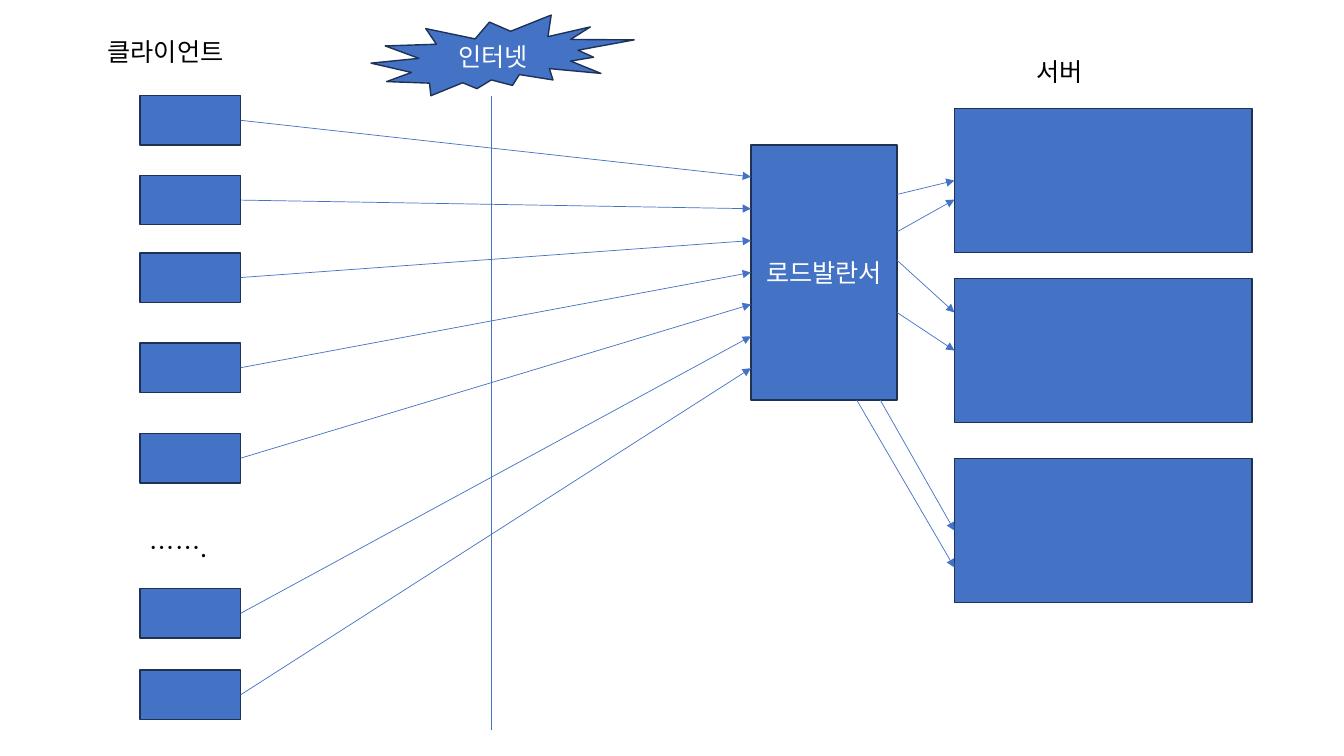
from pptx import Presentation
from pptx.dml.color import RGBColor
from pptx.enum.shapes import MSO_CONNECTOR, MSO_SHAPE
from pptx.enum.text import MSO_ANCHOR, PP_ALIGN
from pptx.oxml.ns import qn
from pptx.util import Pt
from lxml.etree import SubElement

COLORS = {"blue": "4472C4", "edge": "1E3256", "text": "000000", "light": "FFFFFF"}
FONT = "Noto Sans CJK KR"
LEFT_SIDE, RIGHT_SIDE = 1, 3

CLIENT_LEFT, CLIENT_WIDTH, CLIENT_HEIGHT = 100, 72, 35.3
CLIENT_TOPS = [68.3, 125.3, 180.6, 245, 309.6, 420.4, 478.6]

BALANCER_LEFT, BALANCER_TOP = 536.4, 103.5
BALANCER_WIDTH, BALANCER_HEIGHT = 104.4, 182.3
BALANCER_RIGHT = BALANCER_LEFT + BALANCER_WIDTH
BALANCER_BOTTOM = BALANCER_TOP + BALANCER_HEIGHT

SERVER_LEFT, SERVER_WIDTH, SERVER_HEIGHT = 681.8, 212.4, 103

# Top of each server, the start of its joined arrow, and its second arrow
SERVERS = [
    (77.5, (BALANCER_RIGHT, 138.9), ((BALANCER_RIGHT, 165.6), (SERVER_LEFT, 142.6))),
    (198.9, (BALANCER_RIGHT, 223.2), ((BALANCER_RIGHT, 185.9), (SERVER_LEFT, 223.2))),
    (327.6, (628.8, BALANCER_BOTTOM), ((612, BALANCER_BOTTOM), (SERVER_LEFT, 405.4))),
]


def rgb(name):
    return RGBColor.from_string(COLORS[name])


def format_text(frame, text, color):
    frame.text = text
    frame.word_wrap = True
    font = frame.paragraphs[0].runs[0].font
    font.size = Pt(18)
    font.name = FONT
    font.color.rgb = rgb(color)
    SubElement(font._element, qn("a:ea"), typeface=FONT)


def add_block(slide, left, top, width, height, text="", preset=MSO_SHAPE.RECTANGLE):
    block = slide.shapes.add_shape(preset, Pt(left), Pt(top), Pt(width), Pt(height))
    block.shadow.inherit = False
    block.fill.solid()
    block.fill.fore_color.rgb = rgb("blue")
    block.line.color.rgb = rgb("edge")
    block.line.width = Pt(1)
    if text:
        format_text(block.text_frame, text, "light")
        block.text_frame.vertical_anchor = MSO_ANCHOR.MIDDLE
        block.text_frame.paragraphs[0].alignment = PP_ALIGN.CENTER
    return block


def add_label(slide, left, top, width, text):
    label = slide.shapes.add_textbox(Pt(left), Pt(top), Pt(width), Pt(29))
    format_text(label.text_frame, text, "text")


def add_line(slide, start, end, arrow=True):
    line = slide.shapes.add_connector(
        MSO_CONNECTOR.STRAIGHT, *(Pt(value) for value in (*start, *end)))
    line.line.color.rgb = rgb("blue")
    line.line.width = Pt(0.5)
    if arrow:
        SubElement(line.line._get_or_add_ln(), qn("a:tailEnd"), type="triangle")
    SubElement(line._element.spPr, qn("a:effectLst"))
    return line


def main():
    prs = Presentation()
    prs.slide_width, prs.slide_height = Pt(960), Pt(540)
    slide = prs.slides.add_slide(prs.slide_layouts[6])

    # Internet boundary
    add_line(slide, (350.8, 68.4), (350.8, 521.3), arrow=False)
    add_block(slide, 265, 10.8, 188, 57.6, "인터넷", MSO_SHAPE.EXPLOSION2)

    # Load balancer
    balancer = add_block(slide, BALANCER_LEFT, BALANCER_TOP,
                         BALANCER_WIDTH, BALANCER_HEIGHT, "로드발란서")

    # Clients, with requests spread evenly along the balancer's left side
    add_label(slide, 69.8, 22.3, 174.2, "클라이언트")
    add_label(slide, 100, 376.6, 103.7, "…….")
    gap = BALANCER_HEIGHT / (len(CLIENT_TOPS) + 1)
    for index, top in enumerate(CLIENT_TOPS):
        client = add_block(slide, CLIENT_LEFT, top, CLIENT_WIDTH, CLIENT_HEIGHT)
        start = (CLIENT_LEFT + CLIENT_WIDTH, top + CLIENT_HEIGHT / 2)
        request = add_line(slide, start, (BALANCER_LEFT, BALANCER_TOP + gap * (index + 1)))
        request.begin_connect(client, RIGHT_SIDE)
        if index == len(CLIENT_TOPS) // 2:
            request.end_connect(balancer, LEFT_SIDE)

    # Servers and the forwarded requests
    add_label(slide, 733, 36.7, 174.2, "서버")
    for top, start, second_arrow in SERVERS:
        server = add_block(slide, SERVER_LEFT, top, SERVER_WIDTH, SERVER_HEIGHT)
        end = (SERVER_LEFT, top + SERVER_HEIGHT / 2)
        add_line(slide, start, end).end_connect(server, LEFT_SIDE)
        add_line(slide, *second_arrow)

    prs.save("out.pptx")


if __name__ == "__main__":
    main()
